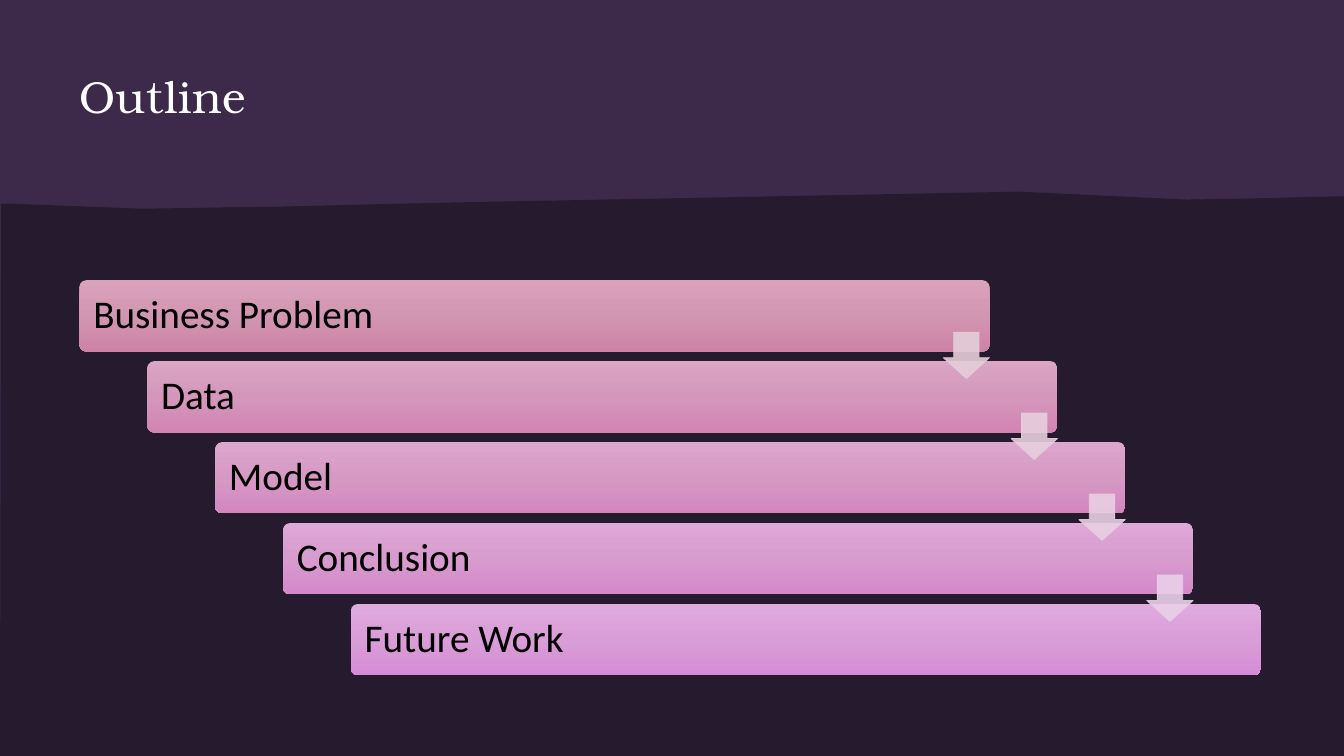
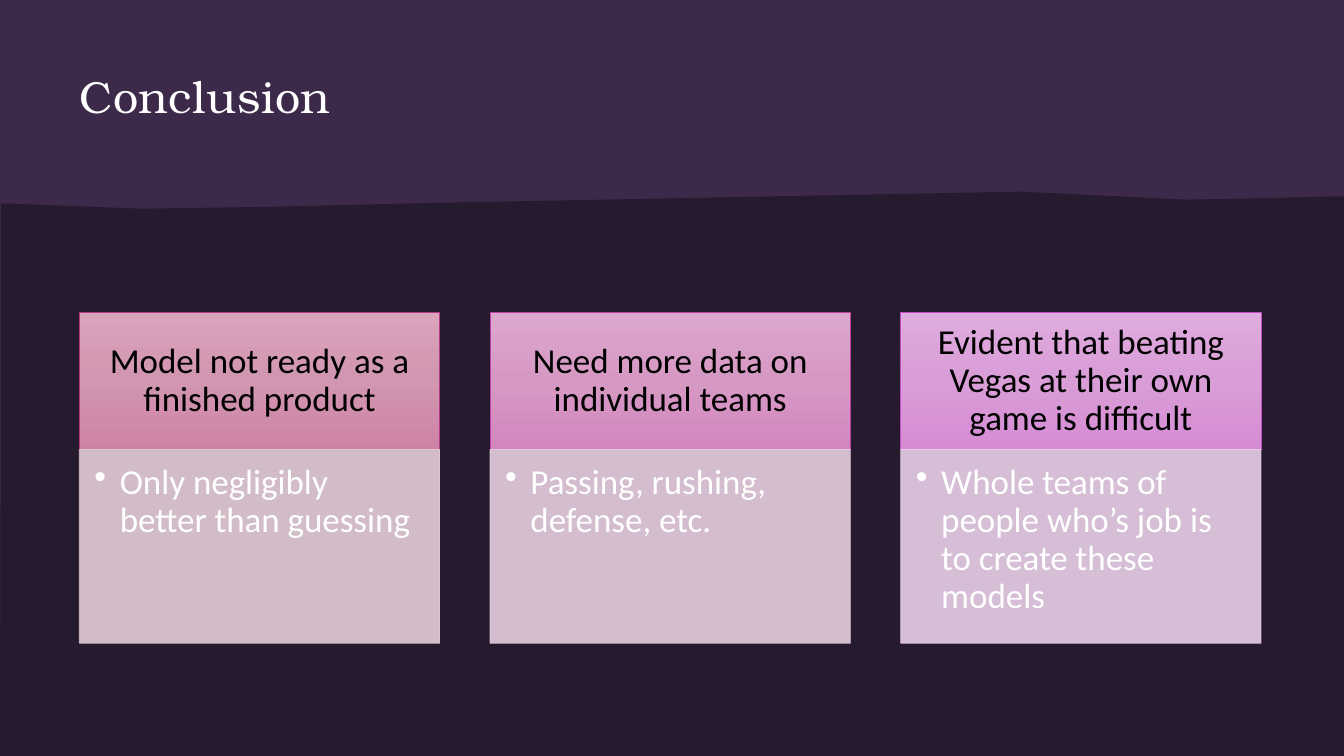
import copy

import pptx
import pptx.dml.color
import pptx.enum.shapes
import pptx.enum.text
import pptx.oxml
import pptx.oxml.ns
import pptx.util

Cm = pptx.util.Cm
Pt = pptx.util.Pt
RGB = pptx.dml.color.RGBColor.from_string
qn = pptx.oxml.ns.qn
Shape = pptx.enum.shapes.MSO_SHAPE
Align = pptx.enum.text.PP_ALIGN
Anchor = pptx.enum.text.MSO_ANCHOR

WIDTH, HEIGHT = 33.87, 19.05
MARGIN = 2.0
TITLE_FONT = "TeX Gyre Bonum"
BODY_FONT = "Calibri"

NIGHT = RGB("261A2E")
PLUM = RGB("3D2A4A")
WHITE = RGB("FFFFFF")
BLACK = RGB("000000")

ROSE = [RGB("DAA3BC"), RGB("D196B1"), RGB("CE83A6")]
ROSE_PINK = [RGB("DBA5C4"), RGB("D497BB"), RGB("D284B2")]
PINK = [RGB("DCA7CD"), RGB("D699C4"), RGB("D386BE")]
PINK_ORCHID = [RGB("DDA9D5"), RGB("D79BCE"), RGB("D589CA")]
ORCHID = [RGB("DFABDE"), RGB("D99DD7"), RGB("D68CD5")]

PALE_ROSE = RGB("E4CED8")
PALE_ORCHID = RGB("E9D0E9")

GROUND_EDGE = [
    (25.7, 4.83), (29.9, 5.03), (31.57, 5.0), (33.6, 4.95),
    (WIDTH, 4.95), (WIDTH, HEIGHT), (0, HEIGHT), (0.03, 5.13),
    (0.2, 5.13), (3.56, 5.26), (6.91, 5.21), (11.07, 5.11),
]

OUTLINE = [
    ("Business Problem", ROSE, PALE_ROSE),
    ("Data", ROSE_PINK, RGB("E6CFDD")),
    ("Model", PINK, RGB("E8CFE3")),
    ("Conclusion", PINK_ORCHID, PALE_ORCHID),
    ("Future Work", ORCHID, None),
]

CONCLUSIONS = [
    ("Model not ready as a finished product",
     "Only negligibly better than guessing",
     ROSE, RGB("B13B7E"), PALE_ROSE),
    ("Need more data on individual teams",
     "Passing, rushing, defense, etc.",
     PINK, RGB("BE40A2"), RGB("E7CFE0")),
    ("Evident that beating Vegas at their own game is difficult",
     "Whole teams of people who’s job is to create these models",
     ORCHID, RGB("C34DC1"), PALE_ORCHID),
]


def add_shape(page, kind, left, top, width, height):
    shape = page.shapes.add_shape(kind, Cm(left), Cm(top), Cm(width), Cm(height))
    shape.shadow.inherit = False
    shape.line.fill.background()
    return shape


def fill_solid(shape, color):
    shape.fill.solid()
    shape.fill.fore_color.rgb = color


def fill_gradient(shape, colors):
    shape.fill.gradient()
    shape.fill.gradient_angle = 270
    stop_list = shape.element.spPr.find(qn("a:gradFill")).find(qn("a:gsLst"))
    stop_list.append(copy.deepcopy(stop_list[0]))
    for index, (stop, color) in enumerate(zip(shape.fill.gradient_stops, colors)):
        stop.color.rgb = color
        stop.position = index / 2


def outline(shape, color):
    shape.line.color.rgb = color
    shape.line.width = Pt(0.5)


def tint(shape, color):
    fill_solid(shape, color)
    outline(shape, color)
    for node in shape.element.spPr.iter(qn("a:srgbClr")):
        pptx.oxml.ns.nsdecls("a")
        node.append(pptx.oxml.parse_xml(
            f'<a:alpha {pptx.oxml.ns.nsdecls("a")} val="90000"/>'))


def add_bullet(para):
    props = para._p.get_or_add_pPr()
    props.set("marL", str(Cm(0.64)))
    props.set("indent", str(Cm(-0.64)))
    props.append(pptx.oxml.parse_xml(
        f'<a:buChar {pptx.oxml.ns.nsdecls("a")} char="•"/>'))


def write(shape, text, size, color, font=BODY_FONT, insets=(0, 0, 0, 0),
          anchor=Anchor.MIDDLE, align=Align.LEFT, spacing=0.9, bullet=False):
    frame = shape.text_frame
    frame.word_wrap = True
    frame.vertical_anchor = anchor
    (frame.margin_left, frame.margin_top,
     frame.margin_right, frame.margin_bottom) = map(Cm, insets)
    para = frame.paragraphs[0]
    if bullet:
        add_bullet(para)
    para.alignment = align
    para.line_spacing = spacing
    span = para.add_run()
    span.text = text
    span.font.name = font
    span.font.size = Pt(size)
    span.font.color.rgb = color
    return span


def add_page(deck, title):
    page = deck.slides.add_slide(deck.slide_layouts[6])
    page.background.fill.solid()
    page.background.fill.fore_color.rgb = NIGHT
    fill_solid(add_shape(page, Shape.RECTANGLE, 0, 0, WIDTH, HEIGHT), PLUM)

    points = [(Cm(x), Cm(y)) for x, y in GROUND_EDGE]
    builder = page.shapes.build_freeform(*points[0])
    builder.add_line_segments(points[1:], close=True)
    ground = builder.convert_to_shape()
    ground.shadow.inherit = False
    ground.line.fill.background()
    fill_solid(ground, NIGHT)

    box = page.shapes.add_textbox(Cm(MARGIN), Cm(1.73), Cm(29.8), Cm(1.9))
    span = write(box, title, 32, WHITE, TITLE_FONT, anchor=Anchor.TOP, spacing=1.0)
    span.font._element.set("spc", "40")
    return page


def add_staircase(page, steps):
    top, width, height, arrow_size = 7.06, 22.94, 1.8, 1.17
    step_x, step_y = 1.71, 2.04
    places = [(MARGIN + i * step_x, top + i * step_y) for i in range(len(steps))]
    for (left, y), (text, colors, _) in zip(places, steps):
        bar = add_shape(page, Shape.ROUNDED_RECTANGLE, left, y, width, height)
        bar.adjustments[0] = 0.1
        fill_gradient(bar, colors)
        write(bar, text, 28, BLACK, insets=(0.3, 0.3, 0.3, 0.3))
    for (left, y), (_, _, color) in zip(places, steps[:-1]):
        arrow = add_shape(page, Shape.DOWN_ARROW, left + width - arrow_size,
                          y + 1.31, arrow_size, arrow_size)
        arrow.adjustments[0] = 0.55
        arrow.adjustments[1] = 0.45
        tint(arrow, color)


def add_card(page, left, heading, detail, colors, edge, pale):
    top, width, head_height, body_height = 7.87, 9.08, 3.46, 4.88
    head = add_shape(page, Shape.RECTANGLE, left, top, width, head_height)
    fill_gradient(head, colors)
    outline(head, edge)
    write(head, heading, 25, BLACK, insets=(0.48, 0.28, 0.48, 0.28),
          align=Align.CENTER)
    body = add_shape(page, Shape.RECTANGLE, left, top + head_height, width, body_height)
    tint(body, pale)
    write(body, detail, 25, WHITE, insets=(0.38, 0.38, 0.48, 0.56),
          anchor=Anchor.TOP, bullet=True)


def main():
    deck = pptx.Presentation()
    deck.slide_width, deck.slide_height = Cm(WIDTH), Cm(HEIGHT)
    add_staircase(add_page(deck, "Outline"), OUTLINE)
    page = add_page(deck, "Conclusion")
    for index, card in enumerate(CONCLUSIONS):
        add_card(page, MARGIN + index * 10.35, *card)
    deck.save("out.pptx")


if __name__ == "__main__":
    main()
